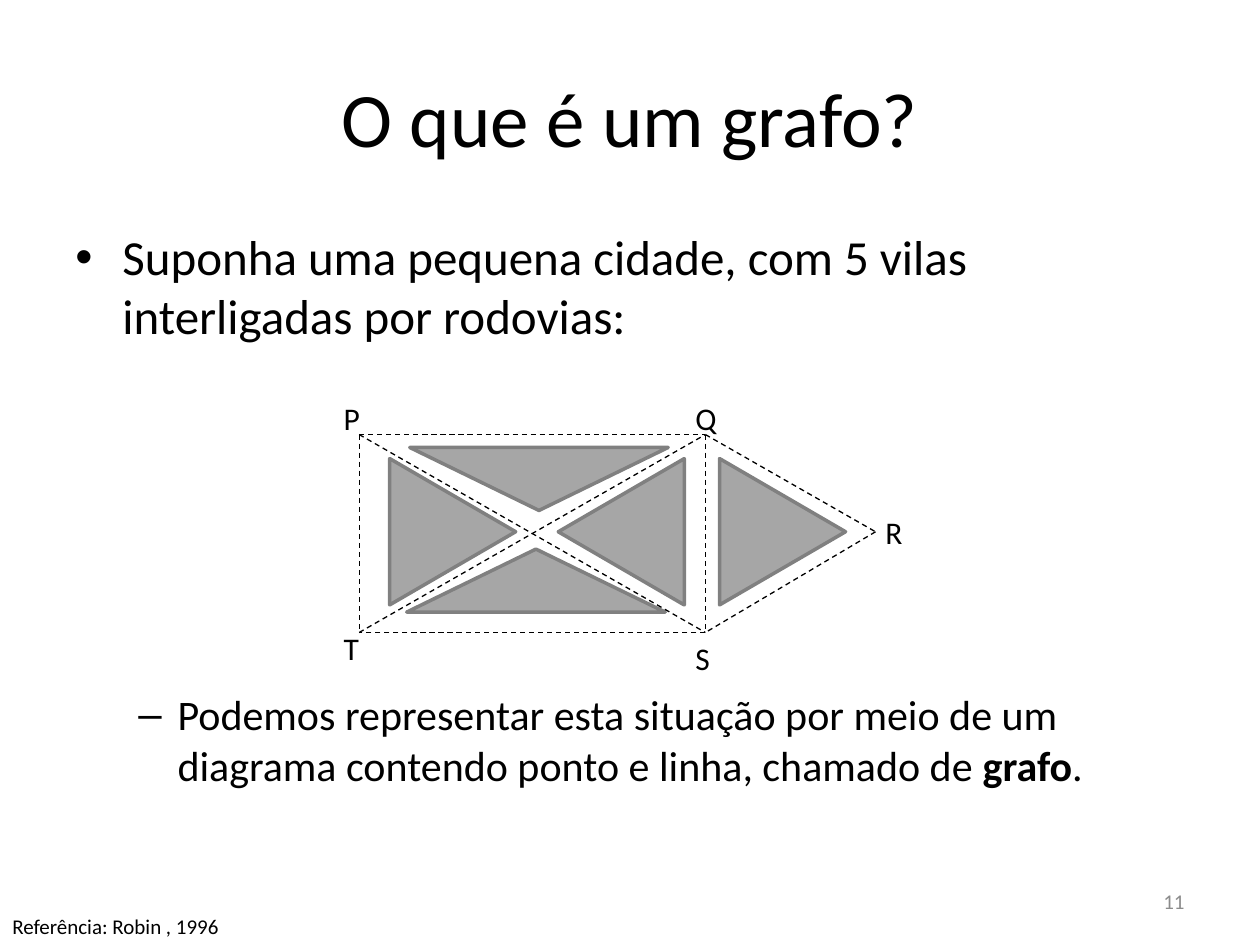
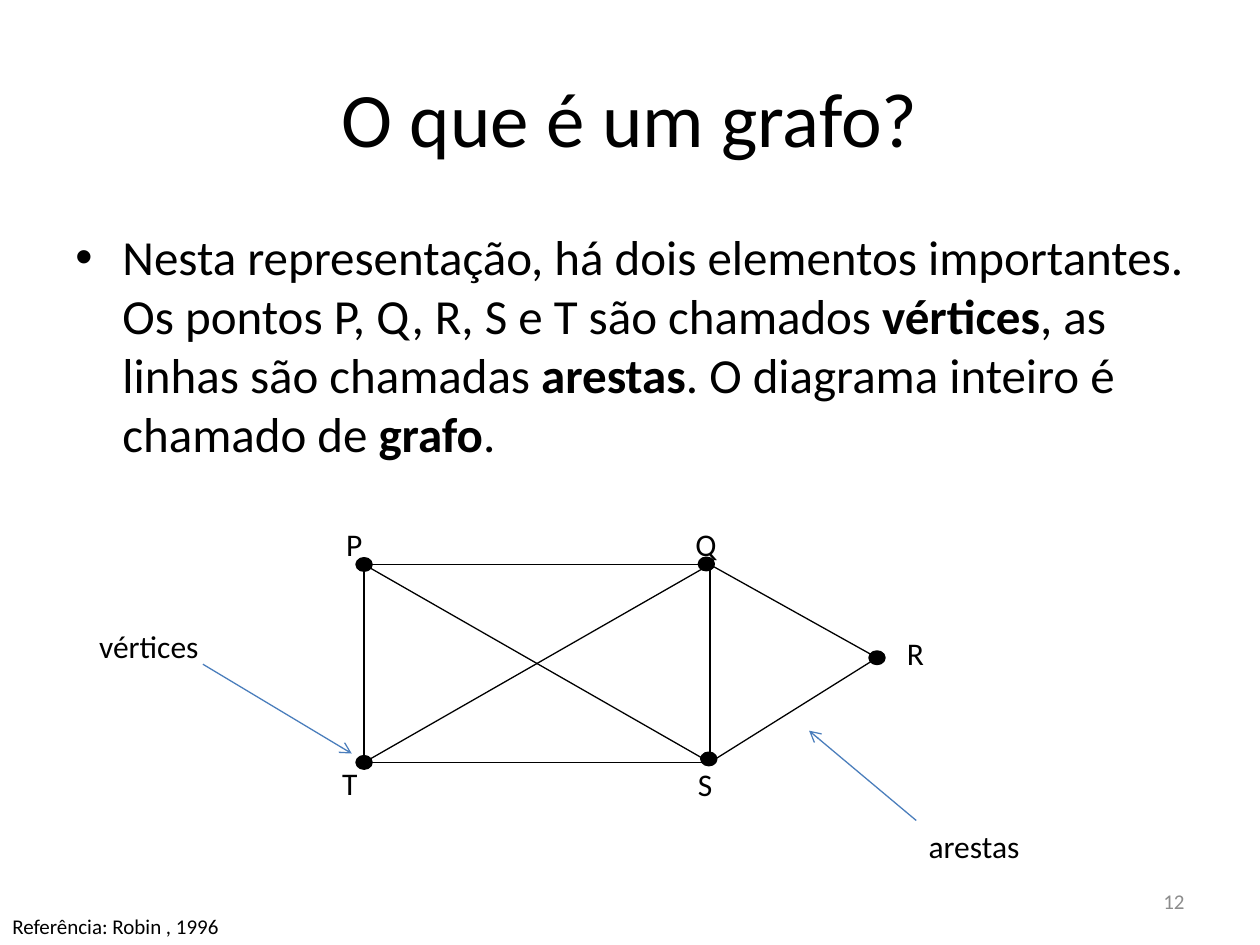
from dataclasses import dataclass

from lxml import etree
from pptx import Presentation
from pptx.dml.color import RGBColor
from pptx.enum.dml import MSO_LINE
from pptx.enum.shapes import MSO_CONNECTOR, MSO_SHAPE
from pptx.enum.text import MSO_ANCHOR, MSO_AUTO_SIZE, PP_ALIGN
from pptx.oxml.ns import qn
from pptx.util import Cm, Pt

LEFT, CENTER, RIGHT = PP_ALIGN.LEFT, PP_ALIGN.CENTER, PP_ALIGN.RIGHT
TOP, MIDDLE = MSO_ANCHOR.TOP, MSO_ANCHOR.MIDDLE
FIT = MSO_AUTO_SIZE.SHAPE_TO_FIT_TEXT
STRAIGHT = MSO_CONNECTOR.STRAIGHT
TRIANGLE, OVAL = MSO_SHAPE.ISOSCELES_TRIANGLE, MSO_SHAPE.OVAL
DASH = MSO_LINE.DASH


@dataclass(frozen=True)
class Theme:
    font: str = "Calibri"
    ink: str = "000000"
    muted: str = "8C8C8C"
    block: str = "A6A6A6"
    block_edge: str = "808080"
    pointer: str = "4B7EBC"
    title: int = 44
    body: int = 28
    detail: int = 24
    label: int = 18
    footer: int = 12
    thin: float = 0.75
    thick: float = 2


ROADS = ("PS", "PT", "ST", "TQ", "PQ", "QR", "RS", "QS")
LABEL_WIDTHS = {"P": 0.84, "T": 0.84, "S": 0.81, "Q": 0.94, "R": 0.86}


def write(frame, text, size, font, color, align=LEFT, anchor=TOP,
          bullet=None, indent=0, hanging=0):
    frame.vertical_anchor = anchor
    paragraph = frame.paragraphs[0]
    paragraph.alignment = align
    if bullet:
        properties = paragraph._p.get_or_add_pPr()
        properties.set("marL", str(Cm(indent)))
        properties.set("indent", str(-Cm(hanging)))
        etree.SubElement(properties, qn("a:buFont"), typeface="Arial")
        etree.SubElement(properties, qn("a:buChar"), char=bullet)
    for position, part in enumerate(text.split("**")):
        run = paragraph.add_run()
        run.text = part
        run.font.name = font
        run.font.size = Pt(size)
        run.font.bold = position % 2 == 1
        run.font.color.rgb = RGBColor.from_string(color)


class Deck:
    def __init__(self, theme):
        self.theme = theme
        self.presentation = Presentation()
        self.presentation.slide_width = Cm(25.4)
        self.presentation.slide_height = Cm(19.05)
        self.slide = None

    def start_slide(self, title, number):
        theme = self.theme
        layout = self.presentation.slide_layouts[6]
        self.slide = self.presentation.slides.add_slide(layout)
        self.text(title, 1.27, 0.76, 22.86, 3.18, size=theme.title,
                  align=CENTER, anchor=MIDDLE)
        self.label("Referência: Robin , 1996", 0, 18.29, 4.72, 0.76, theme.footer)
        self.text(str(number), 18.21, 17.65, 5.92, 1.02, size=theme.footer,
                  color=theme.muted, align=RIGHT, anchor=MIDDLE)

    def text(self, content, left, top, width, height, wrap=True, color=None, **style):
        box = self.slide.shapes.add_textbox(Cm(left), Cm(top), Cm(width), Cm(height))
        box.text_frame.word_wrap = wrap
        if not wrap:
            box.text_frame.auto_size = FIT
        write(box.text_frame, content, font=self.theme.font,
              color=color or self.theme.ink, **style)

    def label(self, content, left, top, width, height=1.02, size=None):
        self.text(content, left, top, width, height, wrap=False,
                  size=size or self.theme.label)

    def bullet(self, content, height):
        self.text(content, 1.27, 4.45, 22.86, height, size=self.theme.body,
                  bullet="•", indent=0.95, hanging=0.95)

    def sub_bullet(self, content, top):
        self.text(content, 1.27, top, 22.86, 2.4, size=self.theme.detail,
                  bullet="–", indent=2.06, hanging=0.79)

    def shape(self, kind, left, top, width, height, fill, edge, rotation=0, canvas=None):
        shapes = (canvas or self.slide).shapes
        figure = shapes.add_shape(kind, Cm(left), Cm(top), Cm(width), Cm(height))
        figure.rotation = rotation
        figure.shadow.inherit = False
        figure.fill.solid()
        figure.fill.fore_color.rgb = RGBColor.from_string(fill)
        figure.line.color.rgb = RGBColor.from_string(edge)
        figure.line.width = Pt(self.theme.thick)

    def line(self, start, end, color=None, dash=None, arrow=False, canvas=None):
        points = [Cm(value) for value in (*start, *end)]
        connector = (canvas or self.slide).shapes.add_connector(STRAIGHT, *points)
        connector.line.color.rgb = RGBColor.from_string(color or self.theme.ink)
        connector.line.width = Pt(self.theme.thin)
        if dash:
            connector.line.dash_style = dash
        if arrow:
            etree.SubElement(connector.line._get_or_add_ln(), qn("a:tailEnd"), type="arrow")
        etree.SubElement(connector._element.spPr, qn("a:effectLst"))

    def roads(self, towns, **style):
        for start, end in ROADS:
            self.line(towns[start], towns[end], **style)

    def town_names(self, places):
        for name, (left, top) in places.items():
            self.label(name, left, top, LABEL_WIDTHS[name])


def build_city(deck):
    theme = deck.theme
    deck.start_slide("O que é um grafo?", 11)
    deck.bullet("Suponha uma pequena cidade, com 5 vilas interligadas por rodovias:", 2.8)
    deck.sub_bullet("Podemos representar esta situação por meio de um diagrama "
                    "contendo ponto e linha, chamado de **grafo**.", 13.76)
    upright, flat = (2.95, 2.54), (5.21, 1.27)
    blocks = (
        (7.65, 9.45, upright, 90),
        (11.05, 9.45, upright, 270),
        (8.26, 9.02, flat, 180),
        (8.2, 11.07, flat, 0),
        (14.3, 9.45, upright, 90),
    )
    for left, top, size, rotation in blocks:
        deck.shape(TRIANGLE, left, top, *size, theme.block, theme.block_edge, rotation)
    towns = {"P": (7.24, 8.76), "Q": (14.22, 8.76), "R": (17.65, 10.72),
             "S": (14.22, 12.75), "T": (7.24, 12.75)}
    deck.roads(towns, dash=DASH)
    deck.town_names({"P": (6.68, 7.92), "T": (6.68, 12.55), "S": (13.77, 12.75),
                     "Q": (13.77, 7.92), "R": (17.6, 10.21)})


def build_graph(deck):
    theme = deck.theme
    deck.start_slide("O que é um grafo?", 12)
    deck.bullet("Nesta representação, há dois elementos importantes. Os pontos "
                "P, Q, R, S e T são chamados **vértices**, as linhas são chamadas "
                "**arestas**. O diagrama inteiro é chamado de **grafo**.", 5.2)
    deck.town_names({"P": (6.73, 10.46), "T": (6.65, 15.27), "S": (13.82, 15.29),
                     "Q": (13.77, 10.46), "R": (18.03, 12.65)})
    graph = deck.slide.shapes.add_group_shape()
    towns = {"P": (7.34, 11.38), "Q": (14.31, 11.38), "R": (17.68, 13.26),
             "S": (14.31, 15.37), "T": (7.34, 15.37)}
    deck.roads(towns, canvas=graph)
    vertices = {**towns, "Q": (14.24, 11.37), "S": (14.29, 15.3)}
    width, height = 0.28, 0.23
    for x, y in vertices.values():
        deck.shape(OVAL, x - width / 2, y - height / 2, width, height,
                   theme.ink, theme.ink, canvas=graph)
    deck.line((4.09, 13.39), (7.09, 15.19), theme.pointer, arrow=True)
    deck.label("vértices", 1.75, 12.52, 2.54)
    deck.line((18.47, 16.54), (16.31, 14.73), theme.pointer, arrow=True)
    deck.label("arestas", 18.47, 16.54, 2.36)


def main():
    deck = Deck(Theme())
    build_city(deck)
    build_graph(deck)
    deck.presentation.save("out.pptx")


if __name__ == "__main__":
    main()
